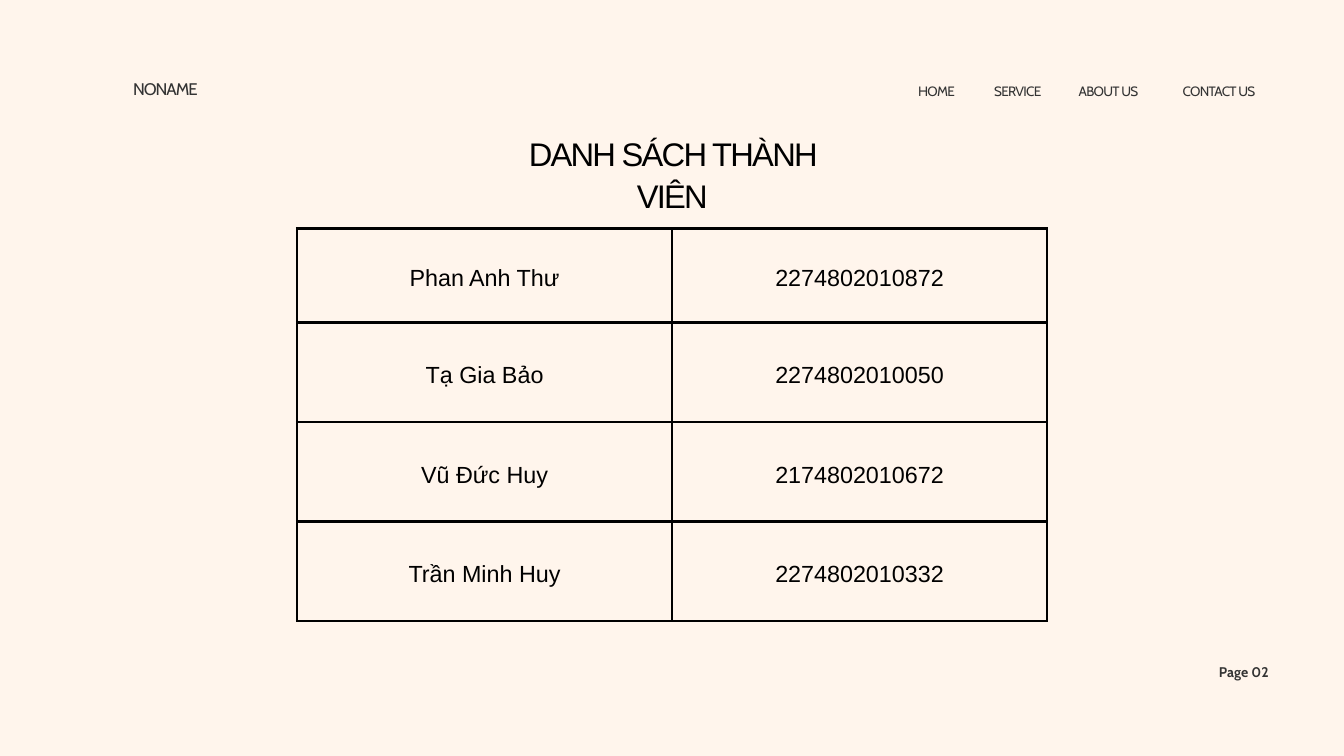
from lxml import etree
from pptx import Presentation
from pptx import util as u
from pptx.dml.color import RGBColor
from pptx.enum import text
from pptx.oxml.ns import qn

COLOURS = {"paper": "FFF5EC", "ink": "000000", "grey": "343434"}
ALIGN = text.PP_ALIGN

TITLE = {"size": 35, "name": "Arial", "colour": "ink", "leading": 45.1,
         "spacing": -1.9, "align": ALIGN.CENTER}
CELL = {"size": 25, "name": "Arial", "colour": "ink", "leading": 35,
        "align": ALIGN.CENTER}
MENU = {"size": 14.5, "name": "Cabin", "colour": "grey", "leading": 18.7,
        "spacing": -0.8, "align": ALIGN.CENTER}
BRAND = {"size": 18, "name": "Cabin", "colour": "grey", "leading": 18.2,
         "spacing": -1.1, "align": ALIGN.LEFT}
PAGE = {"size": 15, "name": "Cabin", "colour": "grey", "leading": 21,
        "bold": True, "align": ALIGN.RIGHT}

MEMBERS = [
    ("Phan Anh Thư", "2274802010872"),
    ("Tạ Gia Bảo", "2274802010050"),
    ("Vũ Đức Huy", "2174802010672"),
    ("Trần Minh Huy", "2274802010332"),
]
MENU_ITEMS = [("HOME", 13.47, 0.93), ("SERVICE", 14.68, 0.93),
              ("ABOUT US", 15.89, 1.21), ("CONTACT US", 17.41, 1.46)]
SIDES = ("left", "right", "top", "bottom")


def rgb(name):
    return RGBColor.from_string(COLOURS[name])


class SlideBuilder:
    def __init__(self, slide):
        self.slide = slide
        fill = slide.background.fill
        fill.solid()
        fill.fore_color.rgb = rgb("paper")

    def add_words(self, para, words, style):
        para.alignment = style["align"]
        para.line_spacing = u.Pt(style["leading"])
        span = para.add_run()
        span.text = words
        font_values = {"size": u.Pt(style["size"]), "name": style["name"],
                       "bold": style.get("bold", False)}
        for key, value in font_values.items():
            setattr(span.font, key, value)
        span.font.color.rgb = rgb(style["colour"])
        if "spacing" in style:
            span.font._element.set("spc", str(round(style["spacing"] * 100)))

    def label(self, words, left, top, width, height, style):
        box = self.slide.shapes.add_textbox(
            *(u.Inches(value) for value in (left, top, width, height)))
        frame = box.text_frame
        frame.word_wrap = True
        frame.auto_size = text.MSO_AUTO_SIZE.SHAPE_TO_FIT_TEXT
        for side in SIDES:
            setattr(frame, f"margin_{side}", 0)
        self.add_words(frame.paragraphs[0], words, style)

    def table(self, rows, left, top, column_width, heights, style):
        columns = len(rows[0])
        table = self.slide.shapes.add_table(
            len(rows), columns, u.Inches(left), u.Inches(top),
            u.Inches(column_width * columns), u.Inches(sum(heights))).table
        for flag in ("first_row", "horz_banding"):
            setattr(table, flag, False)
        for column in table.columns:
            column.width = u.Inches(column_width)
        for row, height, values in zip(table.rows, heights, rows):
            row.height = u.Inches(height)
            for cell, value in zip(row.cells, values):
                self.cell(cell, value, style)

    def cell(self, cell, words, style):
        cell.vertical_anchor = text.MSO_ANCHOR.MIDDLE
        for side in SIDES:
            setattr(cell, f"margin_{side}", u.Inches(0.21))
        self.add_words(cell.text_frame.paragraphs[0], words, style)
        self.borders(cell, 3)
        cell.fill.background()

    def borders(self, cell, points):
        properties = cell._tc.get_or_add_tcPr()
        for tag in ("a:lnL", "a:lnR", "a:lnT", "a:lnB"):
            line = etree.SubElement(properties, qn(tag), w=str(u.Pt(points)))
            fill = etree.SubElement(line, qn("a:solidFill"))
            etree.SubElement(fill, qn("a:srgbClr"), val=COLOURS["ink"])


def main():
    deck = Presentation()
    deck.slide_width = u.Inches(20)
    deck.slide_height = u.Inches(11.25)
    builder = SlideBuilder(deck.slides.add_slide(deck.slide_layouts[6]))

    builder.table(MEMBERS, 4.42, 3.4, 5.58, [1.4, 1.48, 1.48, 1.48], CELL)
    builder.label("DANH SÁCH THÀNH VIÊN", 7.3, 1.95, 5.41, 0.7, TITLE)
    builder.label("Page 02", 17.78, 9.83, 1.1, 0.29, PAGE)
    for words, left, width in MENU_ITEMS:
        builder.label(words, left, 1.22, width, 0.24, MENU)
    builder.label("NONAME", 1.98, 1.22, 1.27, 0.27, BRAND)

    deck.save("out.pptx")


if __name__ == "__main__":
    main()
